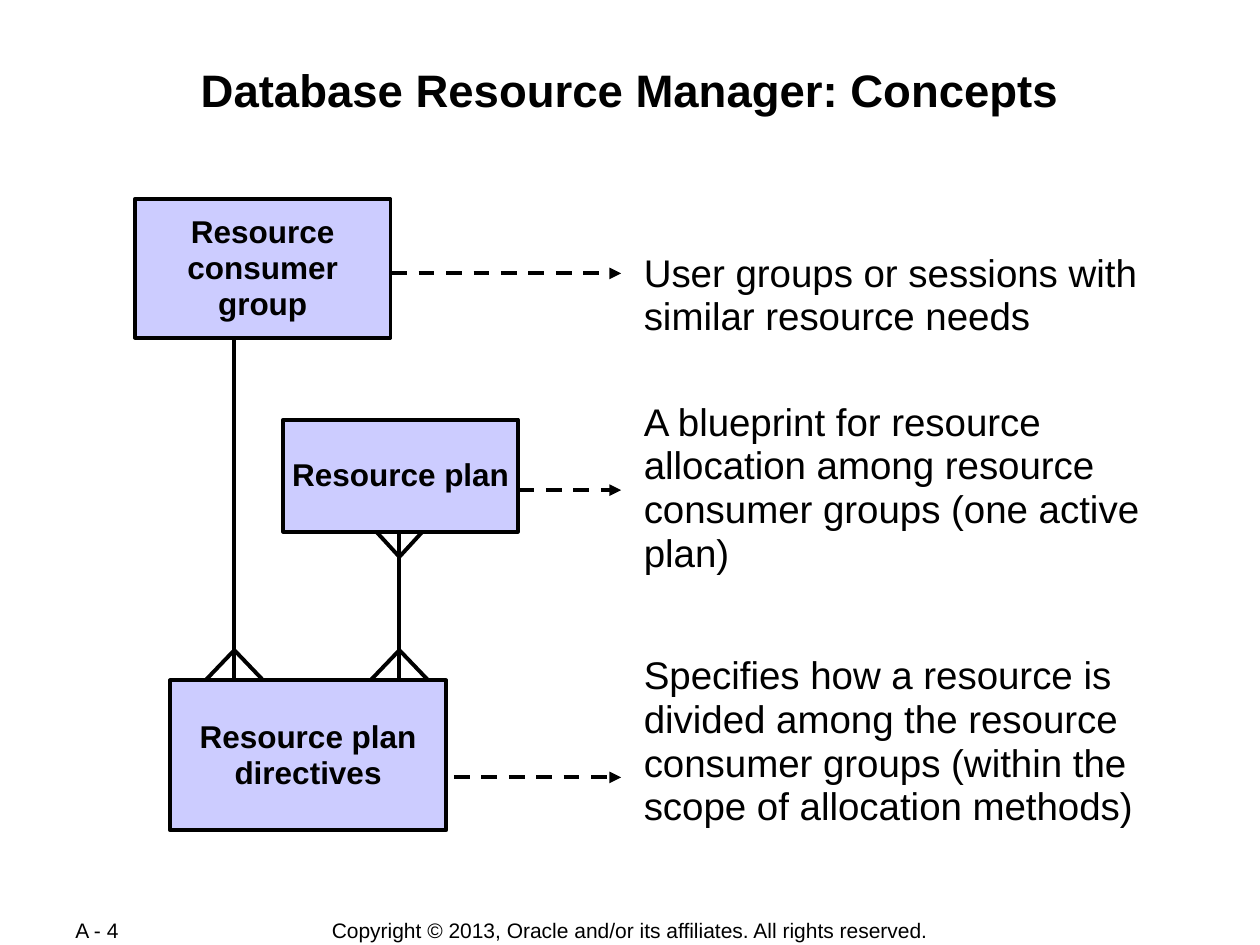
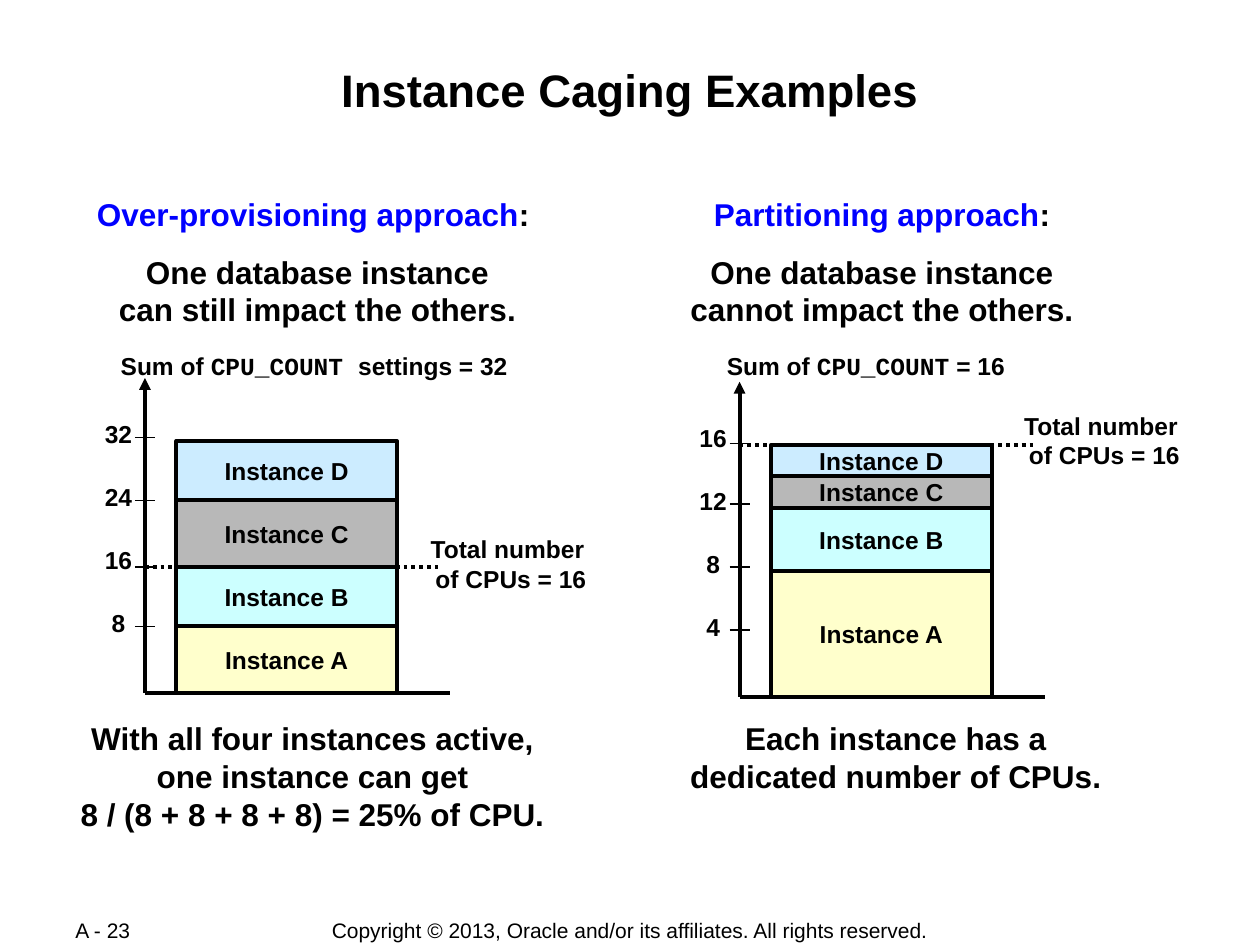
import pptx
import pptx.util
import pptx.dml.color
import pptx.enum.text
import pptx.enum.shapes
import pptx.enum.dml
import pptx.oxml.ns
import lxml.etree

Inches = pptx.util.Inches
Pt = pptx.util.Pt
RGBColor = pptx.dml.color.RGBColor
ALIGN = pptx.enum.text.PP_ALIGN
ANCHOR = pptx.enum.text.MSO_ANCHOR
DASH = pptx.enum.dml.MSO_LINE
SHAPE = pptx.enum.shapes.MSO_SHAPE
CONNECTOR = pptx.enum.shapes.MSO_CONNECTOR
qn = pptx.oxml.ns.qn

BLACK = RGBColor(0x00, 0x00, 0x00)
BLUE = RGBColor(0x00, 0x00, 0xFF)
LAVENDER = RGBColor(0xCC, 0xCC, 0xFF)
YELLOW = RGBColor(0xFF, 0xFF, 0xCC)
CYAN = RGBColor(0xCC, 0xFF, 0xFF)
GRAY = RGBColor(0xB8, 0xB8, 0xB8)
SKY = RGBColor(0xCC, 0xEC, 0xFF)
SANS = "Arial"
MONO = "Courier New"
COPYRIGHT = "Copyright © 2013, Oracle and/or its affiliates. All rights reserved."


def add_text(s, box, paragraphs, size, bold=True, align=ALIGN.CENTER, inset=(0.1, 0.05),
             anchor=ANCHOR.TOP, spacing=None, gaps=(), fill=None):
    place = [Inches(v) for v in box]
    if fill is None:
        sp = s.shapes.add_textbox(*place)
    else:
        sp = s.shapes.add_shape(SHAPE.RECTANGLE, *place)
        sp.shadow.inherit = False
        sp.fill.solid()
        sp.fill.fore_color.rgb = fill
        sp.line.color.rgb = BLACK
        sp.line.width = Pt(2.25)
    tf = sp.text_frame
    tf.word_wrap = True
    tf.vertical_anchor = anchor
    tf.margin_left = tf.margin_right = Inches(inset[0])
    tf.margin_top = tf.margin_bottom = Inches(inset[1])
    for i, runs in enumerate(paragraphs):
        p = tf.paragraphs[0] if i == 0 else tf.add_paragraph()
        p.alignment = align
        if spacing:
            p.line_spacing = spacing
        if i and gaps:
            p.space_before = Pt(gaps[i - 1])
        for words, font, color in runs:
            for n, part in enumerate(words.split("\n")):
                if n:
                    p.add_line_break()
                r = p.add_run()
                r.text = part
                r.font.size = Pt(size)
                r.font.bold = bold
                r.font.name = font
                r.font.color.rgb = color


def add_line(s, x1, y1, x2, y2, width=2.25, dash=None, arrow=False):
    c = s.shapes.add_connector(CONNECTOR.STRAIGHT, Inches(x1), Inches(y1), Inches(x2), Inches(y2))
    c.line.color.rgb = BLACK
    c.line.width = Pt(width)
    if dash:
        c.line.dash_style = dash
    if arrow:
        lxml.etree.SubElement(c.line._get_or_add_ln(), qn("a:tailEnd"), type="triangle")
    lxml.etree.SubElement(c._element.spPr, qn("a:effectLst"))


prs = pptx.Presentation()
prs.slide_width = Inches(10)
prs.slide_height = Inches(7.5)

slides = []
for title, number in [("Database Resource Manager: Concepts", "A - 4"),
                      ("Instance Caging Examples", "A - 23")]:
    s = prs.slides.add_slide(prs.slide_layouts[6])
    add_text(s, (2.25, 7.28, 5.5, 0.21), [[(COPYRIGHT, SANS, BLACK)]], 12, bold=False,
             anchor=ANCHOR.MIDDLE)
    add_text(s, (0.5, 7.28, 1.06, 0.21), [[(number, SANS, BLACK)]], 12, bold=False,
             align=ALIGN.LEFT, anchor=ANCHOR.MIDDLE)
    add_text(s, (0.67, 0.48, 8.66, 0.96), [[(title, SANS, BLACK)]], 26, inset=(0.01, 0.01))
    slides.append(s)

s = slides[0]
descriptions = [
    "User groups or sessions with similar resource needs",
    "A blueprint for resource allocation among resource consumer groups (one active plan)",
    "Specifies how a resource is divided among the resource consumer groups "
    "(within the scope of allocation methods)",
]
add_text(s, (5.08, 1.99, 4, 4.64), [[(d, SANS, BLACK)] for d in descriptions], 22, bold=False,
         align=ALIGN.LEFT, inset=(0.03, 0.01), spacing=0.95, gaps=(35, 44.5))

add_line(s, 1.86, 5.46, 1.86, 2.67)
add_line(s, 3.17, 5.51, 3.17, 4.01)
for x, y in [(2.67, 2.17), (3.68, 3.89), (2.95, 6.17)]:
    add_line(s, x, y, 4.93, y, dash=DASH.DASH, arrow=True)
for x, edge, tip in [(1.86, 5.39, 5.16), (3.17, 5.39, 5.16), (3.17, 4.18, 4.42)]:
    for side in (-0.22, 0.22):
        add_line(s, x + side, edge, x, tip)
for name, box in [("Resource consumer group", (1.07, 1.58, 2.03, 1.1)),
                  ("Resource plan", (2.25, 3.33, 1.86, 0.89)),
                  ("Resource plan directives", (1.35, 5.4, 2.19, 1.19))]:
    add_text(s, box, [[(name, SANS, BLACK)]], 18, inset=(0.05, 0.05),
             anchor=ANCHOR.MIDDLE, spacing=0.95, fill=LAVENDER)

s = slides[1]
instances = [("Instance A", YELLOW), ("Instance B", CYAN), ("Instance C", GRAY), ("Instance D", SKY)]
charts = [
    {"axis": 1.15, "base": 5.5, "tops": (4.97, 4.5, 3.97, 3.5),
     "ticks": (4.97, 4.5, 3.97, 3.47), "labels": ("8", "16", "24", "32"), "label_top": 4.78,
     "limit": 4.5, "note": (3.21, 4.19, 1.69, 0.57),
     "sum_box": (0.86, 2.74, 3.5, 0.34), "sum": ("CPU_COUNT ", "settings = 32"),
     "head_box": (0.57, 1.5, 3.9, 1.16), "head": ("Over-provisioning approach", ": "),
     "claim": "One database instance\ncan still impact the others.",
     "result_box": (0.34, 5.66, 4.28, 1),
     "result": "With all four instances active,\none instance can get\n8 / (8 + 8 + 8 + 8) = 25% of CPU."},
    {"axis": 5.87, "base": 5.53, "tops": (4.53, 4.03, 3.78, 3.53),
     "ticks": (5, 4.5, 4, 3.52), "labels": ("4", "8", "12", "16"), "label_top": 4.81,
     "limit": 3.53, "note": (7.92, 3.21, 1.69, 0.57),
     "sum_box": (5.67, 2.74, 2.8, 0.34), "sum": ("CPU_COUNT", " = 16"),
     "head_box": (5.28, 1.5, 3.44, 1.16), "head": ("Partitioning approach", ":"),
     "claim": "One database instance\ncannot impact the others.",
     "result_box": (5.18, 5.66, 3.86, 0.7),
     "result": "Each instance has a\ndedicated number of CPUs."},
]
for chart in charts:
    x, base = chart["axis"], chart["base"]
    add_line(s, x, base, x, base - 2.5, arrow=True)
    add_line(s, x, base, x + 2.42, base)
    bottom = base
    for (name, color), top in zip(instances, chart["tops"]):
        add_text(s, (x + 0.25, top, 1.75, bottom - top), [[(name, SANS, BLACK)]], 14,
                 anchor=ANCHOR.MIDDLE, fill=color)
        bottom = top
    for i, (tick, label) in enumerate(zip(chart["ticks"], chart["labels"])):
        add_line(s, x - 0.08, tick, x + 0.08, tick, width=0.75)
        add_text(s, (x - 0.51, chart["label_top"] - 0.5 * i, 0.6, 0.34),
                 [[(label, SANS, BLACK)]], 14)
    add_line(s, x, chart["limit"], x + 2.33, chart["limit"], dash=DASH.ROUND_DOT)
    add_text(s, chart["note"], [[("Total number ", SANS, BLACK)], [("of CPUs = 16", SANS, BLACK)]], 14)
    setting, value = chart["sum"]
    add_text(s, chart["sum_box"],
             [[("Sum of ", SANS, BLACK), (setting, MONO, BLACK), (value, SANS, BLACK)]], 14,
             align=ALIGN.LEFT)
    approach, colon = chart["head"]
    add_text(s, chart["head_box"],
             [[(approach, SANS, BLUE), (colon, SANS, BLACK)], [(chart["claim"], SANS, BLACK)]], 18,
             gaps=(11.2,))
    add_text(s, chart["result_box"], [[(chart["result"], SANS, BLACK)]], 18)

prs.save("out.pptx")
